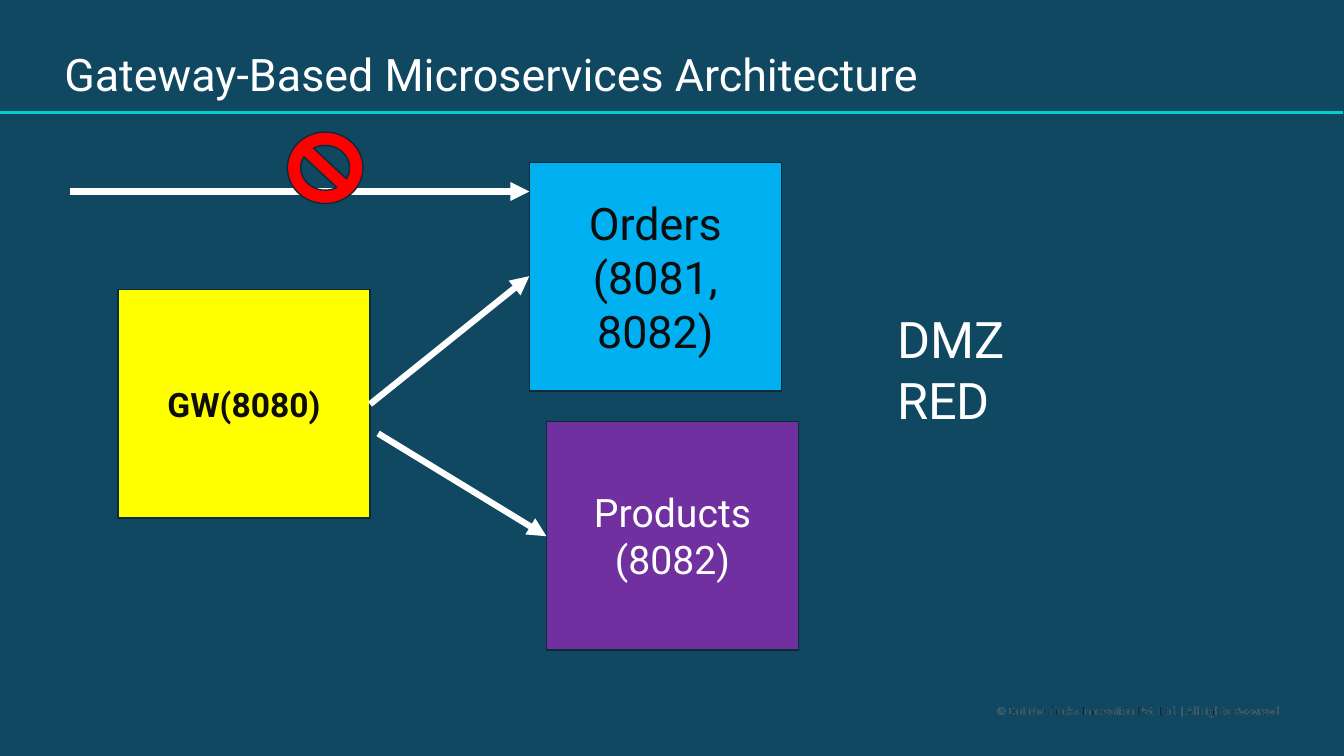
from dataclasses import dataclass
from typing import Optional

from lxml.etree import SubElement
from pptx import Presentation
from pptx.dml.color import RGBColor
from pptx.enum.shapes import MSO_CONNECTOR, MSO_SHAPE
from pptx.enum.text import MSO_ANCHOR, PP_ALIGN
from pptx.oxml.ns import qn
from pptx.util import Inches, Pt

WHITE, BLACK, EDGE = "FFFFFF", "0D0D0D", "092A39"
RIGHTS = "© Dot Net Tricks Innovation Pvt. Ltd. | All rights Reserved."


@dataclass
class Label:
    at: tuple
    lines: list
    size: float
    color: str
    space: Optional[float] = None


@dataclass
class Block:
    left: float
    top: float
    fill: str
    text: str = ""
    size: float = 18
    color: str = BLACK
    bold: bool = False
    width: float = 2.5
    height: float = 2.27
    kind: int = MSO_SHAPE.RECTANGLE


@dataclass
class Line:
    start: tuple
    end: tuple
    color: str = WHITE
    width: float = 4.5
    arrow: bool = True


def rgb(code: str) -> RGBColor:
    return RGBColor.from_string(code)


def style(para, size: float, color: str, bold: bool = False) -> None:
    font = para.runs[0].font
    form = {"name": "Roboto", "size": Pt(size), "bold": bold}
    for key, value in form.items():
        setattr(font, key, value)
    font.color.rgb = rgb(color)


def draw_label(slide, label: Label) -> None:
    box = slide.shapes.add_textbox(*map(Inches, label.at))
    frame = box.text_frame
    frame.word_wrap = True
    frame.text = "\n".join(label.lines)
    for para in frame.paragraphs:
        para.line_spacing = label.space
        style(para, label.size, label.color)


def draw_block(slide, block: Block) -> None:
    place = (block.left, block.top, block.width, block.height)
    shape = slide.shapes.add_shape(block.kind, *map(Inches, place))
    shape.shadow.inherit = False
    shape.fill.solid()
    shape.fill.fore_color.rgb = rgb(block.fill)
    shape.line.color.rgb = rgb(EDGE)
    shape.line.width = Pt(1)
    if block.text:
        frame = shape.text_frame
        frame.word_wrap = True
        frame.vertical_anchor = MSO_ANCHOR.MIDDLE
        frame.text = block.text
        para = frame.paragraphs[0]
        para.alignment = PP_ALIGN.CENTER
        style(para, block.size, block.color, block.bold)


def draw_line(slide, line: Line) -> None:
    ends = map(Inches, line.start + line.end)
    link = slide.shapes.add_connector(MSO_CONNECTOR.STRAIGHT, *ends)
    link.line.color.rgb = rgb(line.color)
    link.line.width = Pt(line.width)
    if line.arrow:
        SubElement(link.line._get_or_add_ln(), qn("a:tailEnd"), type="triangle")
    SubElement(link._element.spPr, qn("a:effectLst"))


# Footer text lies in two tones, the dark one on top
FOOTER = [Label((9.79, 6.94, 3.05, 0.24), [RIGHTS], 8, tone)
          for tone in ("DCEAF7", "08212A")]
RULE = Line((-0.01, 1.12), (13.32, 1.12), "00D1CF", 2, False)
TITLE = Label((0.54, 0.47, 12.16, 0.58),
              ["Gateway-Based Microservices Architecture"], 32, WHITE, 0.9)

# Services and the calls between them
BLOCKS = [
    Block(1.17, 2.87, "FFFF00", "GW(8080)", 24, bold=True),
    Block(5.25, 1.61, "00B0F0", "Orders (8081, 8082)", 32),
    Block(5.42, 4.18, "7030A0", "Products (8082)", 28, WHITE),
]
CALLS = [
    Line((3.67, 4.01), (5.25, 2.74)),
    Line((3.75, 4.3), (5.42, 5.32)),
    Line((0.69, 1.9), (5.25, 1.9)),
]
BAN = Block(2.85, 1.31, "FF0000", width=0.75, height=0.71,
            kind=MSO_SHAPE.NO_SYMBOL)
ZONE = Label((8.8, 3.01, 2.1, 1.31), ["DMZ", "RED"], 36, WHITE)


def main() -> None:
    deck = Presentation()
    deck.slide_width, deck.slide_height = Inches(13.33), Inches(7.5)
    slide = deck.slides.add_slide(deck.slide_layouts[6])
    slide.background.fill.solid()
    slide.background.fill.fore_color.rgb = rgb("104862")

    # Draw from back to front
    tools = {Label: draw_label, Block: draw_block, Line: draw_line}
    for item in [*FOOTER, RULE, TITLE, *BLOCKS, *CALLS, BAN, ZONE]:
        tools[type(item)](slide, item)
    deck.save("out.pptx")


if __name__ == "__main__":
    main()
